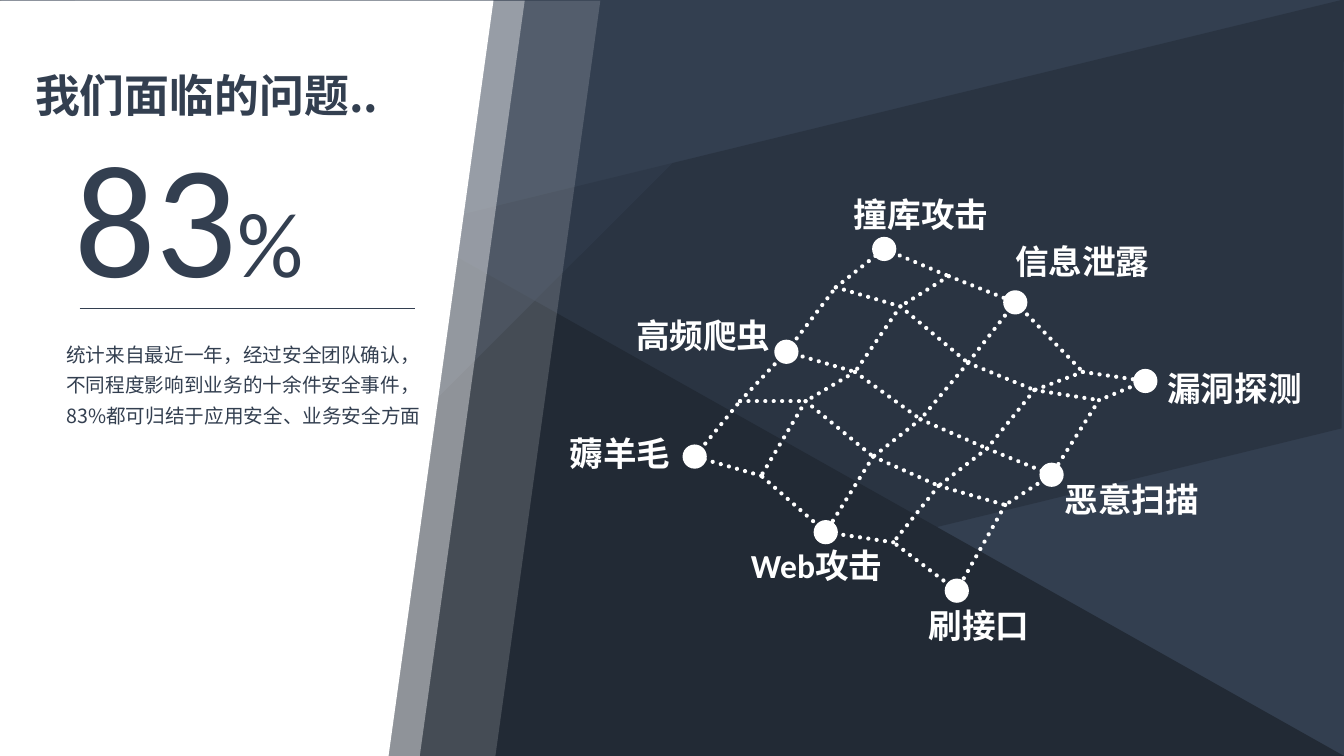
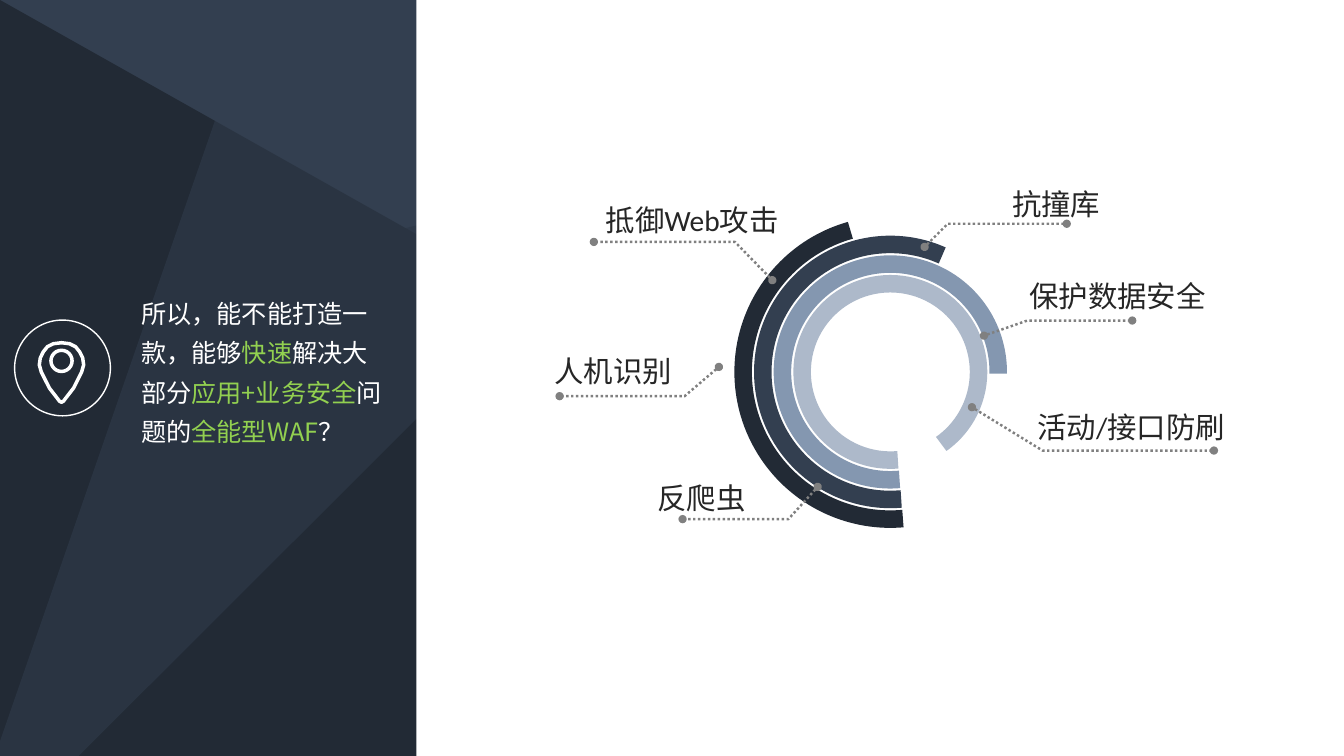
from dataclasses import dataclass
from typing import NamedTuple, Optional

from lxml import etree
from pptx import Presentation
from pptx import util as u
from pptx.dml.color import RGBColor
from pptx.enum import dml, shapes, text
from pptx.oxml import ns

SHAPE = shapes.MSO_SHAPE

# The grid: 13.33 columns by 7.5 rows of square cells, one inch each
COLUMNS, ROWS = 13.33, 7.5


def cells(count: float) -> int:
    return u.Inches(count)


# Theme
@dataclass(frozen=True)
class Theme:
    slate: str = "333F50"
    night: str = "222A35"
    steel: str = "8497B0"
    mist: str = "ADB9CA"
    white: str = "FFFFFF"
    green: str = "92D050"
    grey: str = "808080"
    ink: str = "262626"
    latin: str = "Calibri"
    chinese: str = "Noto Sans CJK SC"
    title: float = 32
    figure: float = 115
    percent: float = 66
    label: float = 24
    callout: float = 21
    question: float = 18
    body: float = 14


THEME = Theme()


# Repeated elements
class Area(NamedTuple):
    left: float
    top: float
    width: float
    height: float


class Point(NamedTuple):
    x: float
    y: float


class Span(NamedTuple):
    words: str
    colour: Optional[str] = None
    size: Optional[float] = None


@dataclass(frozen=True)
class Style:
    size: float
    colour: str
    face: str = THEME.latin
    bold: bool = False
    spacing: float = 1.0
    inset: tuple = (0.1, 0.05)


@dataclass(frozen=True)
class Label:
    words: str
    area: Area


@dataclass(frozen=True)
class Callout:
    label: Label
    leader: tuple


TITLE = Style(THEME.title, THEME.slate, THEME.chinese, bold=True)
FIGURE = Style(THEME.figure, THEME.slate)
BODY = Style(THEME.body, THEME.slate, THEME.chinese, spacing=1.3)
QUESTION = Style(THEME.question, THEME.white, THEME.chinese, spacing=1.3, inset=(0.07, 0.04))
THREAT = Style(THEME.label, THEME.white, bold=True)
ANSWER = Style(THEME.callout, THEME.ink)


# Drawing functions
def rgb(colour: str) -> RGBColor:
    return RGBColor.from_string(colour)


def child(parent, tag: str, **attributes: str):
    return etree.SubElement(parent, ns.qn(tag), attributes)


def set_line(line, colour: str, width: float, dotted: bool = False) -> None:
    line.color.rgb = rgb(colour)
    line.width = u.Pt(width)
    if dotted:
        line.dash_style = dml.MSO_LINE.ROUND_DOT


def add_shape(page, kind, area: Area, fill: Optional[str] = None, opacity: int = 100,
              rotation: float = 0, adjust: tuple = (), flip: bool = False,
              line: Optional[str] = None, width: float = 1):
    shape = page.shapes.add_shape(kind, *map(cells, area))
    shape.shadow.inherit = False
    shape.rotation = rotation
    for index, value in enumerate(adjust):
        shape.adjustments[index] = value
    if flip:
        shape._element.spPr.find(ns.qn("a:xfrm")).set("flipH", "1")
    if fill:
        shape.fill.solid()
        shape.fill.fore_color.rgb = rgb(fill)
        if opacity < 100:
            colour = shape._element.spPr.find(".//" + ns.qn("a:srgbClr"))
            child(colour, "a:alpha", val=str(opacity * 1000))
    else:
        shape.fill.background()
    if line:
        set_line(shape.line, line, width)
    else:
        shape.line.fill.background()
    return shape


def add_circle(page, centre: Point, diameter: float, **look):
    area = Area(centre.x - diameter / 2, centre.y - diameter / 2, diameter, diameter)
    return add_shape(page, look.pop("kind", SHAPE.OVAL), area, **look)


def add_line(page, start: Point, end: Point, colour: str, width: float, dotted: bool = False) -> None:
    ends = map(cells, (*start, *end))
    line = page.shapes.add_connector(shapes.MSO_CONNECTOR.STRAIGHT, *ends)
    set_line(line.line, colour, width, dotted)
    if dotted:
        line.line._get_or_add_ln().set("cap", "rnd")
    child(line._element.spPr, "a:effectLst")


def add_outline(page, points, colour: str, width: float, closed: bool = False, dotted: bool = False):
    first, *rest = [tuple(map(cells, point)) for point in points]
    builder = page.shapes.build_freeform(*first)
    builder.add_line_segments(rest, close=closed)
    shape = builder.convert_to_shape()
    shape.shadow.inherit = False
    shape.fill.background()
    set_line(shape.line, colour, width, dotted)
    return shape


def add_text(page, area: Area, paragraphs: list, style: Style) -> None:
    box = page.shapes.add_textbox(*map(cells, area))
    frame = box.text_frame
    frame.word_wrap = True
    frame.auto_size = text.MSO_AUTO_SIZE.SHAPE_TO_FIT_TEXT
    frame.margin_left = frame.margin_right = cells(style.inset[0])
    frame.margin_top = frame.margin_bottom = cells(style.inset[1])
    for index, spans in enumerate(paragraphs):
        para = frame.paragraphs[0] if index == 0 else frame.add_paragraph()
        para.line_spacing = style.spacing
        font = para.font
        font.size, font.bold, font.name = u.Pt(style.size), style.bold, style.face
        font.color.rgb = rgb(style.colour)
        child(font._element, "a:ea", typeface=THEME.chinese)
        for span in spans:
            run = para.add_run()
            run.text = span.words
            if span.colour:
                run.font.color.rgb = rgb(span.colour)
            if span.size:
                run.font.size = u.Pt(span.size)


def add_label(page, label: Label, style: Style) -> None:
    add_text(page, label.area, [[Span(label.words)]], style)


def add_callout(page, callout: Callout) -> None:
    leader = add_outline(page, callout.leader, THEME.grey, 1.75, dotted=True)
    for tag in ("a:headEnd", "a:tailEnd"):
        child(leader.line._get_or_add_ln(), tag, type="oval")
    add_label(page, callout.label, ANSWER)


def add_page(deck):
    """A blank page with the faceted dark backdrop."""
    page = deck.slides.add_slide(deck.slide_layouts[6])
    page.background.fill.solid()
    page.background.fill.fore_color.rgb = rgb(THEME.slate)
    add_shape(page, SHAPE.ISOSCELES_TRIANGLE, Area(0, 0, COLUMNS, ROWS), THEME.night, adjust=(0,))
    add_shape(page, SHAPE.PARALLELOGRAM, Area(-0.71, 1.68, 14.74, 4.13), THEME.night, 50, 346.3)
    add_shape(page, SHAPE.ISOSCELES_TRIANGLE, Area(1.18, -1.16, 5.41, 11.12), THEME.slate, 50,
              199.1, adjust=(1,))
    return page


# Slide 1: the threats, as a net of dotted lines
NODES = {
    "a": Point(7.55, 4.72), "b": Point(6.89, 4.53), "c": Point(7.34, 3.98),
    "d": Point(7.99, 3.98), "e": Point(7.8, 3.49), "f": Point(8.29, 2.85),
    "g": Point(8.77, 2.47), "h": Point(8.93, 3.04), "i": Point(8.48, 3.69),
    "j": Point(9.13, 4.16), "k": Point(9.41, 2.74), "l": Point(8.66, 4.53),
    "m": Point(8.19, 5.28), "n": Point(8.86, 5.38), "o": Point(9.31, 4.82),
    "p": Point(10.07, 3), "q": Point(9.6, 3.6), "r": Point(9.79, 4.45),
    "s": Point(10.26, 3.87), "t": Point(10.74, 3.69), "u": Point(11.36, 3.78),
    "v": Point(10.9, 3.97), "w": Point(10.43, 4.71), "x": Point(9.97, 5.01),
    "y": Point(9.49, 5.86),
}
RIM = "bcefgkptuvwxynmab"
THREADS = ("khida", "cdlox", "eijrw", "fhqsv", "pqjlm", "tsron")
KNOTS = "mywugebp"
THREATS = (
    Label("刷接口", Area(9.11, 5.95, 1.21, 0.5)),
    Label("恶意扫描", Area(10.46, 4.7, 1.55, 0.5)),
    Label("漏洞探测", Area(11.48, 3.6, 1.55, 0.5)),
    Label("撞库攻击", Area(8.37, 1.87, 1.55, 0.5)),
    Label("高频爬虫", Area(6.21, 3.08, 1.55, 0.5)),
    Label("薅羊毛", Area(5.55, 4.25, 1.21, 0.5)),
    Label("Web攻击", Area(7.35, 5.36, 1.52, 0.5)),
    Label("信息泄露", Area(9.97, 2.34, 1.55, 0.5)),
)


def build_problem(deck) -> None:
    page = add_page(deck)
    for left, opacity in ((-0.4, 16), (-1.15, 40), (-1.46, 100)):
        add_shape(page, SHAPE.FLOWCHART_MANUAL_INPUT, Area(left, 1.15, ROWS, 5.21), THEME.white,
                  opacity, 90, flip=True)

    # Headline figure
    add_label(page, Label("我们面临的问题..", Area(0.25, 0.62, 7.74, 0.64)), TITLE)
    add_text(page, Area(0.64, 1.11, 2.48, 2.04),
             [[Span("83"), Span("%", size=THEME.percent)]], FIGURE)
    add_line(page, Point(0.79, 3.06), Point(4.12, 3.06), THEME.slate, 1)
    add_text(page, Area(0.56, 3.28, 3.82, 1.02), [
        [Span("统计来自最近一年，经过安全团队确认，不同程度影响到业务的十余件安全事件，")],
        [Span("83%都可归结于应用安全、业务安全方面")],
    ], BODY)

    # Net
    for thread in (RIM, *THREADS):
        for start, end in zip(thread, thread[1:]):
            add_line(page, NODES[start], NODES[end], THEME.white, 3, dotted=True)
    for knot in KNOTS:
        add_circle(page, NODES[knot], 0.24, fill=THEME.white)
    for threat in THREATS:
        add_label(page, threat, THREAT)


# Slide 2: the answer, as rings with callouts
RING_CENTRE = Point(8.83, 3.69)
RING_START = 355.1
RINGS = ((THEME.mist, 324.78), (THEME.steel, 270.9), (THEME.slate, 204.01), (THEME.night, 164.26))
CALLOUTS = (
    Callout(Label("抵御Web攻击", Area(5.91, 1.96, 1.93, 0.45)),
            (Point(7.66, 2.78), Point(7.29, 2.4), Point(5.89, 2.4))),
    Callout(Label("抗撞库", Area(9.94, 1.8, 1.09, 0.45)),
            (Point(9.17, 2.45), Point(9.4, 2.22), Point(10.58, 2.22))),
    Callout(Label("反爬虫", Area(6.42, 4.71, 1.09, 0.45)),
            (Point(8.11, 4.83), Point(7.82, 5.15), Point(6.77, 5.15))),
    Callout(Label("活动/接口防刷", Area(10.19, 4.01, 2.08, 0.45)),
            (Point(9.64, 4.04), Point(10.34, 4.47), Point(12.04, 4.47))),
    Callout(Label("保护数据安全", Area(10.11, 2.71, 1.97, 0.45)),
            (Point(9.76, 3.33), Point(10.19, 3.18), Point(11.23, 3.18))),
    Callout(Label("人机识别", Area(5.4, 3.45, 1.38, 0.45)),
            (Point(7.13, 3.64), Point(6.79, 3.93), Point(5.55, 3.93))),
)
# Right half of the map pin, as offsets from its axis
PIN_AXIS = 0.61
PIN_HALF = ((0, 3.4), (0.08, 3.41), (0.14, 3.44), (0.18, 3.49), (0.21, 3.55), (0.22, 3.62),
            (0.2, 3.69), (0.16, 3.77), (0.12, 3.85), (0.05, 3.94), (0.02, 3.98), (0, 3.99))


def add_pin(page) -> None:
    add_circle(page, Point(PIN_AXIS + 0.01, 3.65), 0.95, line=THEME.white)
    right = [Point(PIN_AXIS + offset, y) for offset, y in PIN_HALF]
    left = [Point(PIN_AXIS - offset, y) for offset, y in PIN_HALF[-2:0:-1]]
    add_outline(page, right + left, THEME.white, 2.5, closed=True)
    add_circle(page, Point(PIN_AXIS, 3.58), 0.21, line=THEME.white, width=2.5)


def build_answer(deck) -> None:
    page = add_page(deck)
    add_shape(page, SHAPE.RECTANGLE, Area(4.13, 0, COLUMNS - 4.13, ROWS), THEME.white)
    add_pin(page)
    add_text(page, Area(1.33, 2.83, 2.61, 1.65), [[
        Span("所以，能不能打造一款，能够"), Span("快速", THEME.green), Span("解决大部分"),
        Span("应用+业务安全", THEME.green), Span("问题的"), Span("全能型WAF", THEME.green), Span("？"),
    ]], QUESTION)

    # Rings; an arc's adjustment is 0.6 per degree
    for index, (colour, stop) in enumerate(RINGS):
        add_circle(page, RING_CENTRE, 1.75 + 0.39 * index, kind=SHAPE.ARC, rotation=90,
                   adjust=(RING_START * 0.6, stop * 0.6), line=colour, width=12.5)
    for callout in CALLOUTS:
        add_callout(page, callout)


def main() -> None:
    deck = Presentation()
    deck.slide_width, deck.slide_height = cells(COLUMNS), cells(ROWS)
    build_problem(deck)
    build_answer(deck)
    deck.save("out.pptx")


if __name__ == "__main__":
    main()
